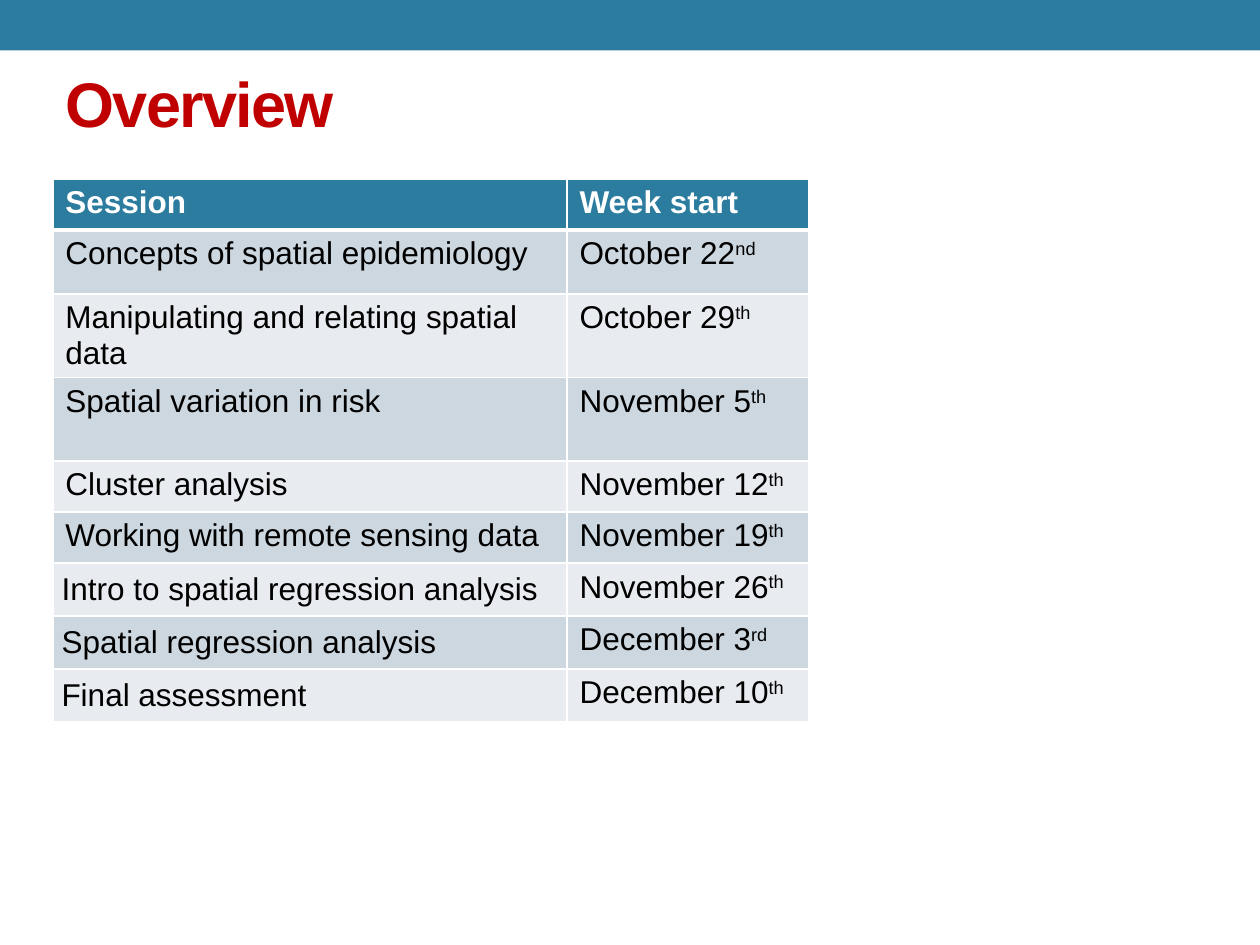
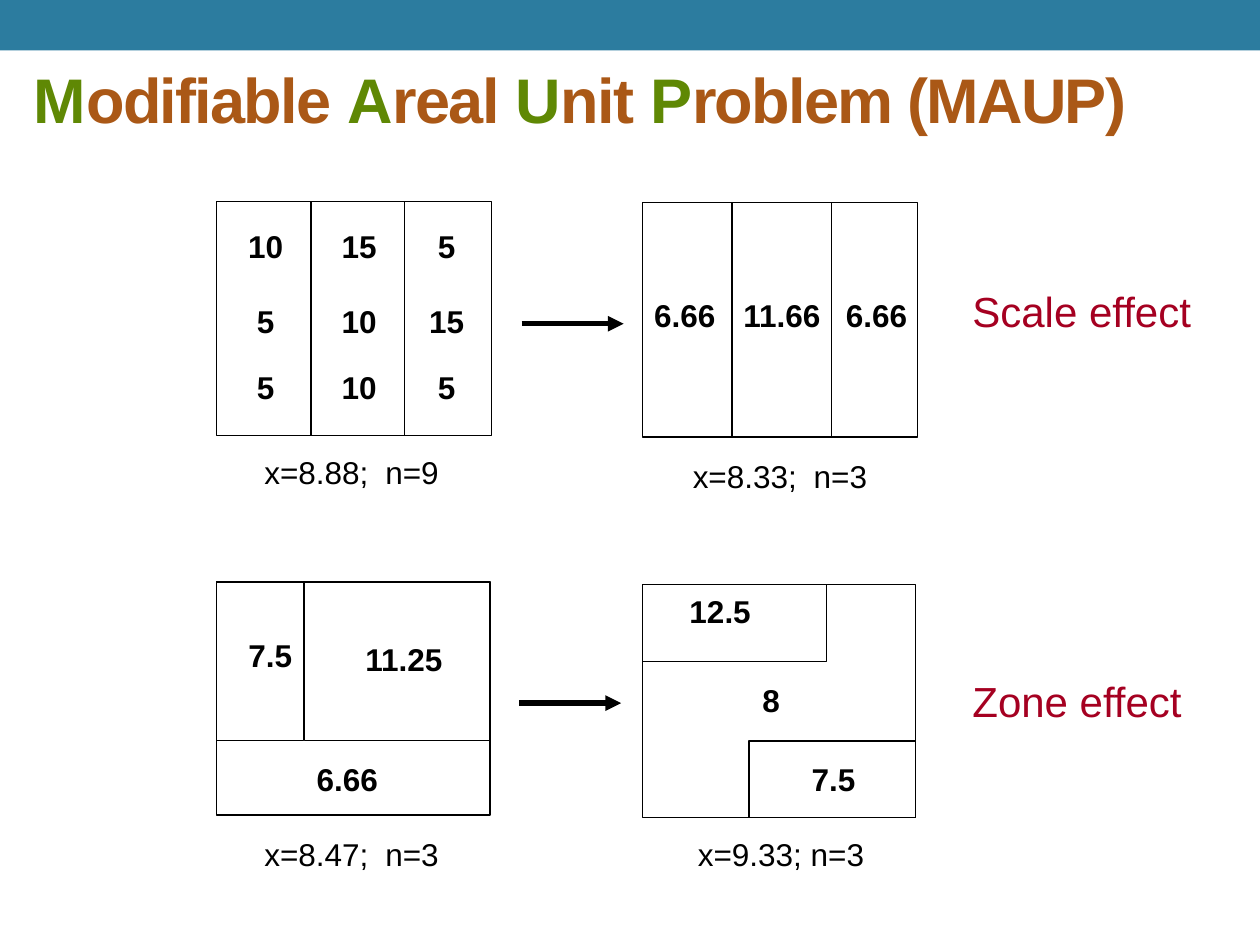
import pptx
import pptx.util
import pptx.dml.color
import pptx.enum.shapes
import pptx.enum.text
import pptx.oxml
import pptx.oxml.ns

Pt = pptx.util.Pt
ALIGN = pptx.enum.text.PP_ALIGN
ANCHOR = pptx.enum.text.MSO_ANCHOR
RECTANGLE = pptx.enum.shapes.MSO_SHAPE.RECTANGLE
STRAIGHT = pptx.enum.shapes.MSO_CONNECTOR.STRAIGHT
qn = pptx.oxml.ns.qn

COLORS = {
    "band": "2C7C9F", "white": "FFFFFF", "black": "000000", "overview": "C00000",
    "initial": "5F8804", "word": "AA5816", "effect": "A50021",
    "odd row": "CDD7DF", "even row": "E8ECF0",
}

# Content: titles are lists of (text, colour)
OVERVIEW_TITLE = [("Overview", "overview")]
MAUP_TITLE = [
    ("M", "initial"), ("odifiable ", "word"), ("A", "initial"), ("real ", "word"),
    ("U", "initial"), ("nit ", "word"), ("P", "initial"), ("roblem (MAUP)", "word"),
]

# Content: session, date, ordinal ending, row height, whether the margin is even
SESSIONS = [
    ("Session", "Week start", "", 29.2, False),
    ("Concepts of spatial epidemiology", "October 22", "nd", 36.7, False),
    ("Manipulating and relating spatial data", "October 29", "th", 47.7, False),
    ("Spatial variation in risk", "November 5", "th", 47.7, False),
    ("Cluster analysis", "November 12", "th", 29.2, False),
    ("Working with remote sensing data", "November 19", "th", 29.2, False),
    ("Intro to spatial regression analysis", "November 26", "th", 30.2, True),
    ("Spatial regression analysis", "December 3", "rd", 30.2, True),
    ("Final assessment", "December 10", "th", 30.2, True),
]
TABLE_LEFT, TABLE_TOP = 30.2, 102.2
COLUMN_WIDTHS = (293.8, 138.2)

# Content: zones and values are measured from the panel's corner;
# a value is (text, centre, top)
GRID_VALUES = [("10", "15", "5"), ("5", "10", "15"), ("5", "10", "5")]
GRID_CENTRES = (28, 81.4, 131.4)
GRID_TOPS = (10.8, 54, 91.4)
PANELS = [
    {"corner": (123.8, 115.2),
     "zones": [(0, 0, 157, 133.9), (54, 0, 53.3, 133.9)],
     "values": [(value, centre, top) for row, top in zip(GRID_VALUES, GRID_TOPS)
                for value, centre in zip(row, GRID_CENTRES)],
     "caption": ("x=8.88;\tn=9", 144, 255.6)},
    {"corner": (367.2, 115.9),
     "zones": [(0, 0, 157, 133.9), (51.1, 0, 56.9, 133.9)],
     "values": [("6.66", 24.1, 49.7), ("11.66", 79.6, 49.7), ("6.66", 133.6, 49.7)],
     "caption": ("x=8.33;\tn=3", 388.8, 257.8)},
    {"corner": (123.8, 332.6),
     "zones": [(0, 0, 156.2, 133.2), (0, 0, 49.9, 90.7), (50.4, 0, 105.8, 90.7)],
     "values": [("7.5", 30.6, 27.4), ("11.25", 107, 29.6), ("6.66", 74.6, 98)],
     "caption": ("x=8.47;\tn=3", 144, 473.8)},
    {"corner": (367.2, 334.1),
     "zones": [(0, 0, 156.2, 133.2), (0, 0, 105.1, 43.9), (60.9, 89.3, 95.3, 43.9)],
     "values": [("12.5", 44.3, 0.7), ("8", 73.4, 51.8), ("7.5", 109.1, 96.5)],
     "caption": ("x=9.33; n=3", 391.7, 473.8)},
]
EFFECTS = [("Scale effect", 548.6, 159.8), ("Zone effect", 548.6, 382.3)]
ARROWS = [(298.1, 185), (296.6, 401.8)]
ARROW_LENGTH = 58.3
CAPTION_TAB = 69.1
VALUE_WIDTH, VALUE_HEIGHT = 60, 28.8


def color(name):
    return pptx.dml.color.RGBColor.from_string(COLORS[name])


def add_span(para, text, color_name, **formats):
    span = para.add_run()
    span.text = text
    for name, value in {"name": "Arial", "size": Pt(18), "bold": False, **formats}.items():
        setattr(span.font, name, value)
    span.font.color.rgb = color(color_name)
    return span


def add_rectangle(page, left, top, width, height, fill=None, line=None):
    box = page.shapes.add_shape(RECTANGLE, Pt(left), Pt(top), Pt(width), Pt(height))
    box.shadow.inherit = False
    for part, name in ((box.fill, fill), (box.line.fill, line)):
        if name:
            part.solid()
            part.fore_color.rgb = color(name)
        else:
            part.background()
    if line:
        box.line.width = Pt(0.75)


def add_page(deck, title_spans, left, top, width, height):
    page = deck.slides.add_slide(deck.slide_layouts[5])
    add_rectangle(page, 0, 0, 720, 28.8, fill="band")
    title = page.shapes.title
    place = {"left": left, "top": top, "width": width, "height": height}
    for name, value in place.items():
        setattr(title, name, Pt(value))
    frame = title.text_frame
    frame.auto_size = pptx.enum.text.MSO_AUTO_SIZE.NONE
    frame.vertical_anchor = ANCHOR.MIDDLE
    para = frame.paragraphs[0]
    para.alignment = ALIGN.LEFT
    for text, color_name in title_spans:
        span = add_span(para, text, color_name, size=Pt(36), bold=True)
        span._r.get_or_add_rPr().set("spc", "-100")
    return page


def add_text(page, text, left, top, width, height, color_name="black",
             align=ALIGN.LEFT, tab=None, **formats):
    box = page.shapes.add_textbox(Pt(left), Pt(top), Pt(width), Pt(height))
    box.text_frame.word_wrap = True
    para = box.text_frame.paragraphs[0]
    para.alignment = align
    if tab:
        stops = pptx.oxml.parse_xml(
            f'<a:tabLst {pptx.oxml.ns.nsdecls("a")}><a:tab pos="{Pt(tab)}" algn="l"/></a:tabLst>')
        para._p.get_or_add_pPr().append(stops)
    add_span(para, text, color_name, **formats)


def set_borders(cell, widths):
    properties = cell._tc.get_or_add_tcPr()
    for index, (side, width) in enumerate(widths.items()):
        properties.insert(index, pptx.oxml.parse_xml(
            f'<a:ln{side} {pptx.oxml.ns.nsdecls("a")} w="{Pt(width)}"><a:solidFill>'
            f'<a:srgbClr val="{COLORS["white"]}"/></a:solidFill></a:ln{side}>'))


def add_sessions(page):
    heights = [session[3] for session in SESSIONS]
    table = page.shapes.add_table(
        len(SESSIONS), len(COLUMN_WIDTHS), Pt(TABLE_LEFT), Pt(TABLE_TOP),
        Pt(sum(COLUMN_WIDTHS)), Pt(sum(heights))).table
    for column, width in zip(table.columns, COLUMN_WIDTHS):
        column.width = Pt(width)
    for index, (session, date, ending, height, even_margin) in enumerate(SESSIONS):
        table.rows[index].height = Pt(height)
        header = index == 0
        fill = "band" if header else "odd row" if index % 2 else "even row"
        ink = "white" if header else "black"
        for cell, text in zip(table.rows[index].cells, (session, date)):
            cell.fill.solid()
            cell.fill.fore_color.rgb = color(fill)
            set_borders(cell, {"L": 1, "R": 1, "T": 3 if index == 1 else 1,
                               "B": 3 if header else 1})
            add_span(cell.text_frame.paragraphs[0], text, ink, bold=header)
        if ending:
            span = add_span(cell.text_frame.paragraphs[0], ending, ink)
            span._r.get_or_add_rPr().set("baseline", "30000")
        if even_margin:
            for side in ("left", "right", "top", "bottom"):
                setattr(table.cell(index, 0), f"margin_{side}", Pt(5))


def add_panel(page, panel):
    left, top = panel["corner"]
    for x, y, width, height in panel["zones"]:
        add_rectangle(page, left + x, top + y, width, height, line="black")
    for value, centre, y in panel["values"]:
        add_text(page, value, left + centre - VALUE_WIDTH / 2, top + y,
                 VALUE_WIDTH, VALUE_HEIGHT, align=ALIGN.CENTER, bold=True)
    caption, x, y = panel["caption"]
    add_text(page, caption, x, y, 125, VALUE_HEIGHT, tab=CAPTION_TAB)


def add_arrow(page, left, top):
    arrow = page.shapes.add_connector(
        STRAIGHT, Pt(left), Pt(top), Pt(left + ARROW_LENGTH), Pt(top))
    arrow.line.color.rgb = color("black")
    arrow.line.width = Pt(3)
    line = arrow.line._get_or_add_ln()
    line.append(line.makeelement(qn("a:tailEnd"), {"type": "triangle"}))
    properties = arrow._element.spPr
    properties.append(properties.makeelement(qn("a:effectLst"), {}))


def main():
    deck = pptx.Presentation()
    deck.slide_width, deck.slide_height = Pt(720), Pt(540)

    # Course overview
    overview = add_page(deck, OVERVIEW_TITLE, 30.2, 27.4, 648, 62.6)
    add_sessions(overview)

    # Scale and zone effects
    maup = add_page(deck, MAUP_TITLE, 12.2, 36, 648, 40.3)
    for panel in PANELS:
        add_panel(maup, panel)
    for left, top in ARROWS:
        add_arrow(maup, left, top)
    for effect, left, top in EFFECTS:
        add_text(maup, effect, left, top, 150, 36, "effect", size=Pt(24))

    deck.save("out.pptx")


if __name__ == "__main__":
    main()
